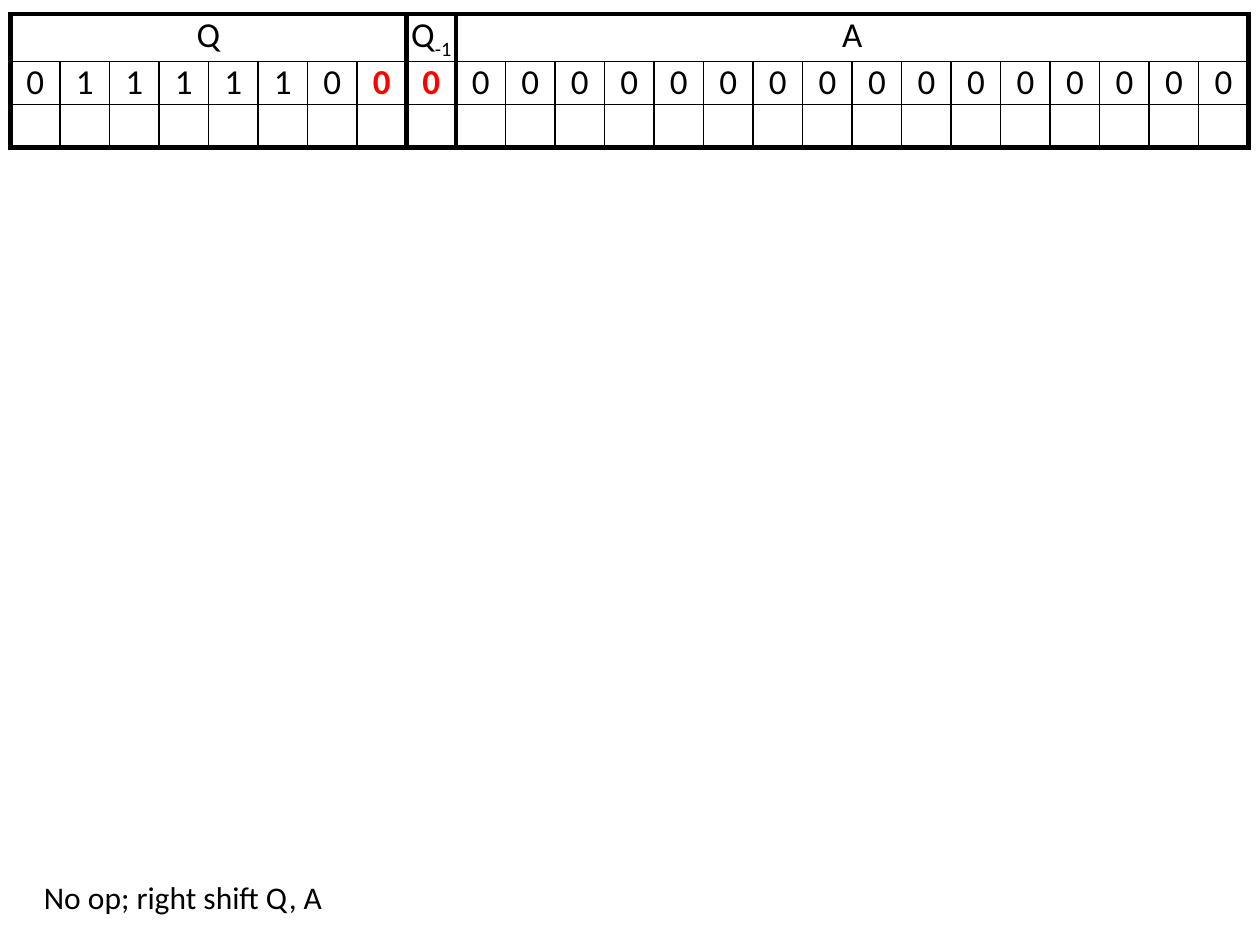
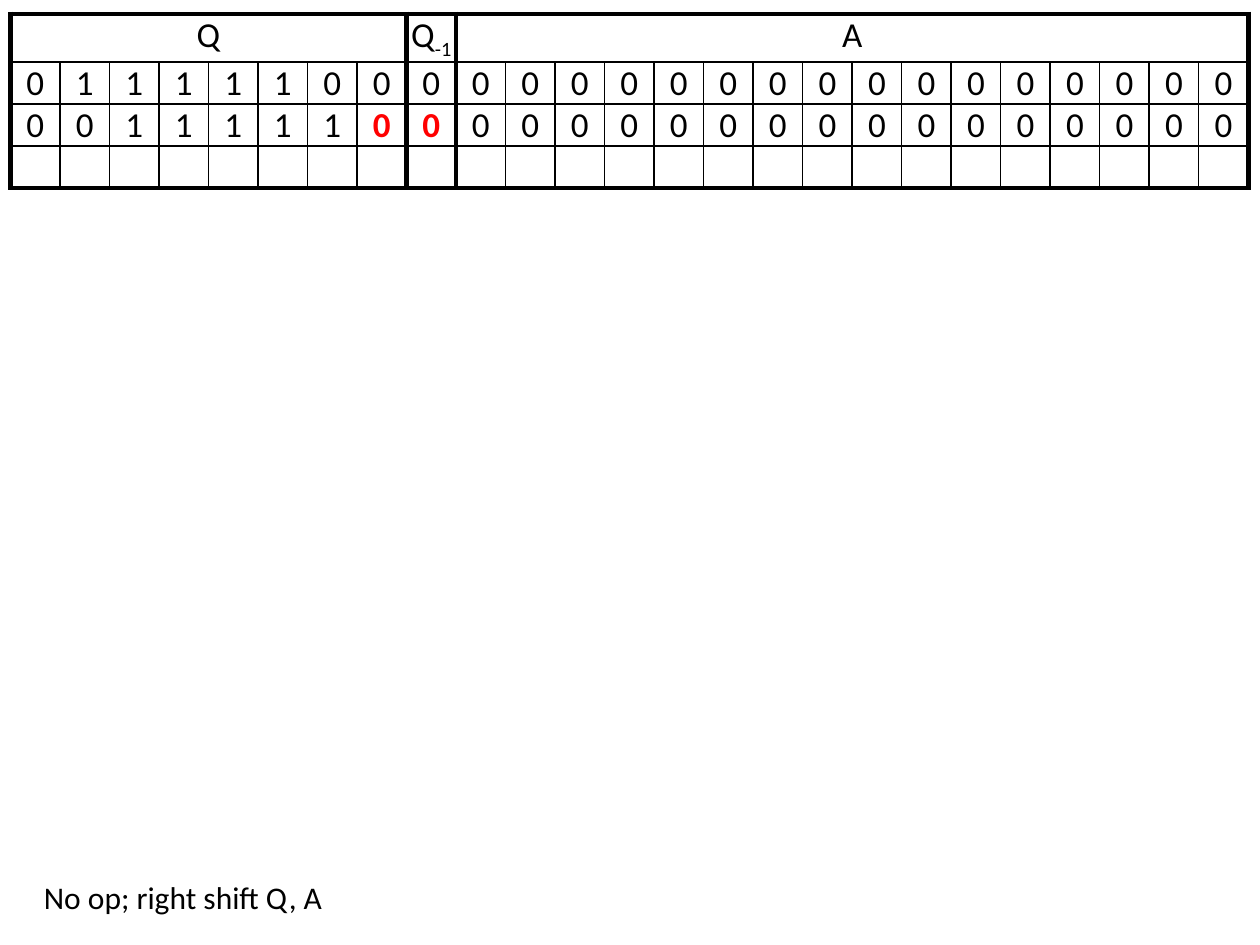
import lxml.etree
import pptx
import pptx.dml.color
import pptx.enum.text
import pptx.oxml.ns
import pptx.util

Pt = pptx.util.Pt
FONT = "Calibri"
BLACK, RED = "000000", "FF0000"
COLS, WIDTH, HEIGHT = 25, 28.31, 23
GROUPS = [("Q", "", 0, 8), ("Q", "-1", 8, 9), ("A", "", 9, 25)]
HEAVY = {0, 8, 9, 25}
MARKED = {7, 8}
STEPS = ["0111110000000000000000000", "0011111000000000000000000"]
NOTE = "No op; right shift Q, A"


def color(code):
    """Turn a hex string into a colour."""
    return pptx.dml.color.RGBColor.from_string(code)


def style(run, size, code=BLACK, bold=False):
    """Format one run."""
    run.font.name = FONT
    run.font.size = Pt(size)
    run.font.bold = bold
    run.font.color.rgb = color(code)


def add_sub(parent, tag, **attrs):
    """Append a drawing element and return it."""
    return lxml.etree.SubElement(parent, pptx.oxml.ns.qn(tag), **attrs)


def border(cell, sides):
    """Draw the given sides, a list of tag and width, in schema order."""
    props = cell._tc.get_or_add_tcPr()
    for place, (side, width) in enumerate(sides):
        line = add_sub(props, "a:" + side, w=str(Pt(width)))
        add_sub(add_sub(line, "a:solidFill"), "a:srgbClr", val=BLACK)
        props.insert(place, line)


def frame(cell, row, col, rows):
    """Border a cell: heavy around groups and table, thin elsewhere."""
    end = col + (cell.span_width if cell.is_merge_origin else 1)
    sides = []
    for side, edge in (("lnL", col), ("lnR", end)):
        if row or edge in HEAVY:
            sides.append((side, 3 if edge in HEAVY else 1))
    sides.append(("lnT", 1 if row else 3))
    sides.append(("lnB", 3 if row == rows - 1 else 1))
    border(cell, sides)


def write(cell, text, code=BLACK, bold=False, sub=""):
    """Fill a cell with centred text and an optional subscript."""
    para = cell.text_frame.paragraphs[0]
    para.alignment = pptx.enum.text.PP_ALIGN.CENTER
    if not text:
        add_sub(para._p, "a:endParaRPr", sz="2000")
        return
    para.text = text
    if sub:
        para.add_run().text = sub
    for run in para.runs:
        style(run, 20, code, bold)
    if sub:
        para.runs[-1].font._element.set("baseline", "-25000")


def add_grid(slide, steps):
    """Add the register table with one row per step and an empty last row."""
    rows = len(steps) + 2
    shape = slide.shapes.add_table(
        rows, COLS, Pt(6), Pt(8), Pt(COLS * WIDTH), Pt(rows * HEIGHT))
    table = shape.table
    table.first_row = table.horz_banding = False
    for col in table.columns:
        col.width = Pt(WIDTH)
    for row in table.rows:
        row.height = Pt(HEIGHT)
    for text, sub, start, end in GROUPS:
        if end - start > 1:
            table.cell(0, start).merge(table.cell(0, end - 1))
        write(table.cell(0, start), text, sub=sub)
    for row, bits in enumerate(steps + [" " * COLS], 1):
        for col, bit in enumerate(bits):
            mark = row == len(steps) and col in MARKED
            write(table.cell(row, col), bit.strip(), RED if mark else BLACK, mark)
    for row in range(rows):
        for col in range(COLS):
            cell = table.cell(row, col)
            cell.margin_left = cell.margin_right = 0
            cell.margin_top = cell.margin_bottom = 0
            cell.fill.background()
            frame(cell, row, col, rows)


def add_note(slide, text):
    """Add the note at the foot of the slide."""
    box = slide.shapes.add_textbox(Pt(18), Pt(498), Pt(276), Pt(29))
    body = box.text_frame
    body.word_wrap = True
    body.auto_size = pptx.enum.text.MSO_AUTO_SIZE.SHAPE_TO_FIT_TEXT
    body.text = text
    style(body.paragraphs[0].runs[0], 18)


def main():
    """Build one slide for each step."""
    deck = pptx.Presentation()
    deck.slide_width, deck.slide_height = Pt(720), Pt(540)
    for count in range(1, len(STEPS) + 1):
        slide = deck.slides.add_slide(deck.slide_layouts[6])
        add_grid(slide, STEPS[:count])
        add_note(slide, NOTE)
    deck.save("out.pptx")


main()
